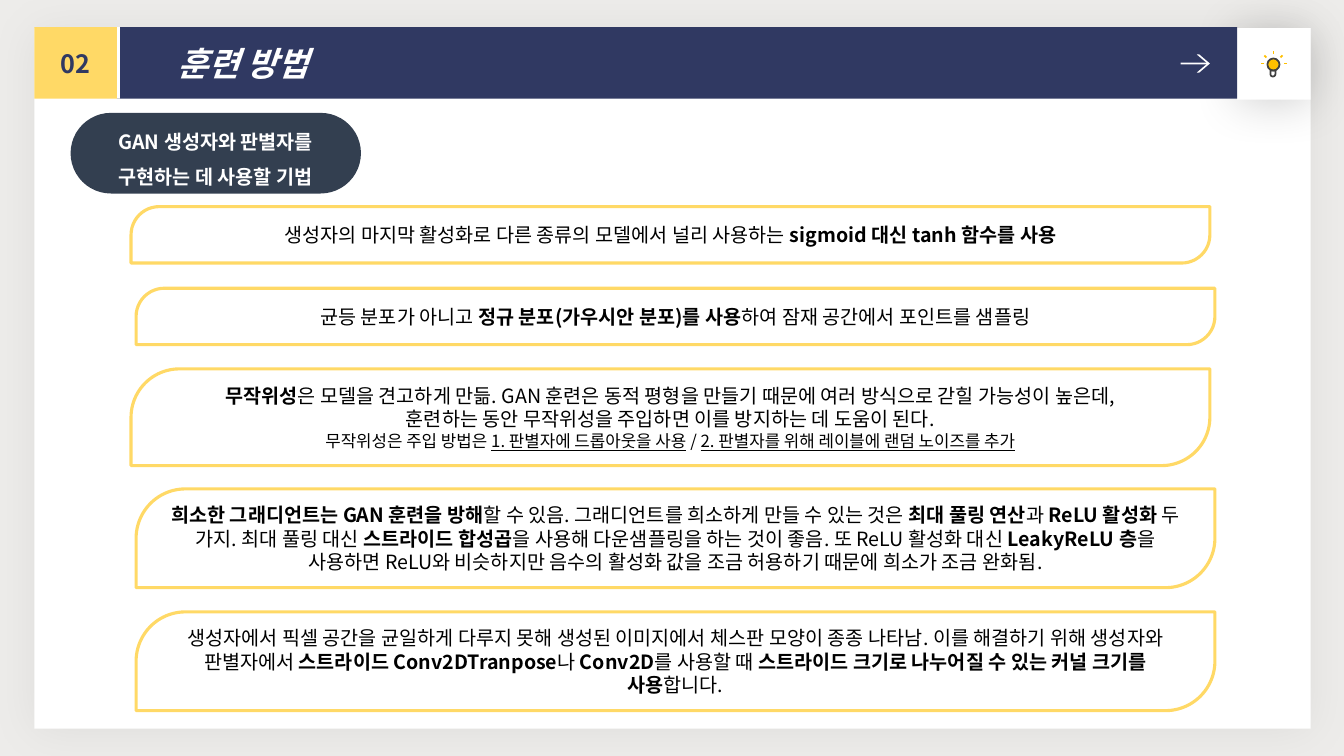
"""Build the slide on GAN training techniques."""
import dataclasses

import lxml.etree
import pptx
import pptx.dml.color
import pptx.enum.shapes
import pptx.enum.text
import pptx.oxml.ns
import pptx.util

Inches = pptx.util.Inches
Pt = pptx.util.Pt
qn = pptx.oxml.ns.qn
SHAPE = pptx.enum.shapes.MSO_SHAPE
ALIGN = pptx.enum.text.PP_ALIGN


@dataclasses.dataclass(frozen=True)
class Theme:
    font: str = "Noto Sans CJK KR"
    backdrop: str = "EDECEA"
    white: str = "FFFFFF"
    black: str = "000000"
    navy: str = "303962"
    slate: str = "333F50"
    yellow: str = "FFD966"
    amber: str = "FFC000"
    bulb: str = "404040"
    title: int = 24
    number: int = 18
    body: int = 14
    detail: int = 12


T = Theme()

CARDS = [
    (1.3, 2.05, 0.56, ["생성자의 마지막 활성화로 다른 종류의 모델에서 널리 사용하는 *sigmoid 대신 tanh 함수를 사용*"]),
    (1.35, 2.86, 0.56, ["균등 분포가 아니고 *정규 분포(가우시안 분포)를 사용*하여 잠재 공간에서 포인트를 샘플링"]),
    (1.3, 3.66, 0.96, [
        "*무작위성*은 모델을 견고하게 만듦. GAN 훈련은 동적 평형을 만들기 때문에 여러 방식으로 갇힐 가능성이 높은데,",
        "훈련하는 동안 무작위성을 주입하면 이를 방지하는 데 도움이 된다."]),
    (1.35, 4.85, 0.98, [
        "*희소한 그래디언트는 GAN 훈련을 방해*할 수 있음. 그래디언트를 희소하게 만들 수 있는 것은 "
        "*최대 풀링 연산*과 *ReLU 활성화* 두 가지. 최대 풀링 대신 *스트라이드 합성곱*을 사용해 "
        "다운샘플링을 하는 것이 좋음. 또 ReLU 활성화 대신 *LeakyReLU 층*을 사용하면 ReLU와 "
        "비슷하지만 음수의 활성화 값을 조금 허용하기 때문에 희소가 조금 완화됨."]),
    (1.35, 6.07, 0.98, [
        "생성자에서 픽셀 공간을 균일하게 다루지 못해 생성된 이미지에서 체스판 모양이 종종 나타남. "
        "이를 해결하기 위해 생성자와 판별자에서 *스트라이드 Conv2DTranpose*나 *Conv2D*를 사용할 때 "
        "*스트라이드 크기로 나누어질 수 있는 커널 크기를 사용*합니다."]),
]
NOISE_METHODS = "무작위성은 주입 방법은 *1. 판별자에 드롭아웃을 사용* / *2. 판별자를 위해 레이블에 랜덤 노이즈를 추가*"

RAYS = [
    (12.63, 0.51, 12.63, 0.54),
    (12.76, 0.63, 12.73, 0.63),
    (12.54, 0.63, 12.51, 0.63),
    (12.56, 0.57, 12.54, 0.55),
    (12.7, 0.57, 12.72, 0.55),
]


def rgb(color):
    """Turn a hex string into a colour."""
    return pptx.dml.color.RGBColor.from_string(color)


def add_text(tf, text, size=T.body, color=T.black, bold=False, italic=False,
             align=ALIGN.CENTER, spacing=None, mark="bold"):
    """Add a paragraph whose starred parts are bold or underlined."""
    p = tf.add_paragraph() if tf.text else tf.paragraphs[0]
    p.alignment = align
    if spacing:
        p.line_spacing = spacing
    for i, part in enumerate(text.split("*")):
        if not part:
            continue
        r = p.add_run()
        r.text = part
        font = r.font
        font.size, font.name = Pt(size), T.font
        font.bold, font.italic = bold, italic
        font.color.rgb = rgb(color)
        if i % 2:
            setattr(font, mark, True)
        ea = lxml.etree.SubElement(r._r.get_or_add_rPr(), qn("a:ea"))
        ea.set("typeface", T.font)
    return p


def place(sp, x, y, w, h):
    """Move and size a shape."""
    sp.left, sp.top, sp.width, sp.height = map(Inches, (x, y, w, h))


def add_shape(s, kind, x, y, w, h, fill=None, line=None, weight=1.25, adj=()):
    """Add a flat preset shape with centred, wrapped text."""
    sp = s.shapes.add_shape(kind, *map(Inches, (x, y, w, h)))
    sp.shadow.inherit = False
    for i, value in enumerate(adj):
        sp.adjustments[i] = value
    if fill:
        sp.fill.solid()
        sp.fill.fore_color.rgb = rgb(fill)
    else:
        sp.fill.background()
    if line:
        sp.line.color.rgb = rgb(line)
        sp.line.width = Pt(weight)
    else:
        sp.line.fill.background()
    sp.text_frame.word_wrap = True
    sp.text_frame.vertical_anchor = pptx.enum.text.MSO_ANCHOR.MIDDLE
    return sp


def add_shadow(sp, color, alpha, blur, angle):
    """Give a shape an outer shadow two points away."""
    effects = sp.element.spPr.find(qn("a:effectLst"))
    shadow = lxml.etree.SubElement(effects, qn("a:outerShdw"))
    shadow.set("blurRad", str(Pt(blur)))
    shadow.set("dist", str(Pt(2)))
    shadow.set("dir", str(angle * 60000))
    shadow.set("algn", "ctr")
    shadow.set("rotWithShape", "0")
    clr = lxml.etree.SubElement(shadow, qn("a:srgbClr"), val=color)
    lxml.etree.SubElement(clr, qn("a:alpha"), val=str(alpha * 1000))


def add_line(s, x1, y1, x2, y2):
    """Add one ray of the light bulb."""
    ray = s.shapes.add_connector(pptx.enum.shapes.MSO_CONNECTOR.STRAIGHT,
                                 *map(Inches, (x1, y1, x2, y2)))
    ray.line.color.rgb = rgb(T.amber)
    ray.line.width = Pt(1.25)
    lxml.etree.SubElement(ray.element.spPr, qn("a:effectLst"))


def add_title(s, text):
    """Turn the title placeholder into the navy bar."""
    title = s.shapes.title
    title.element.getparent().append(title.element)
    place(title, 1.16, 0.27, 11.11, 0.71)
    title.fill.solid()
    title.fill.fore_color.rgb = rgb(T.navy)
    tf = title.text_frame
    tf.auto_size = pptx.enum.text.MSO_AUTO_SIZE.NONE
    tf.vertical_anchor = pptx.enum.text.MSO_ANCHOR.MIDDLE
    p = add_text(tf, text, size=T.title, color=T.white, bold=True, italic=True, align=ALIGN.LEFT)
    p._p.get_or_add_pPr().set("marL", str(Inches(0.5)))


def add_bulb(s):
    """Draw the light bulb."""
    add_shape(s, SHAPE.OVAL, 12.57, 0.58, 0.12, 0.12, fill=T.amber, line=T.bulb)
    add_shape(s, SHAPE.ROUND_2_SAME_RECTANGLE, 12.6, 0.7, 0.05, 0.06, line=T.bulb, adj=(0, 0.5))
    for ray in RAYS:
        add_line(s, *ray)


def add_header(s):
    """Draw the panel, title bar, number tag and icons."""
    panel = add_shape(s, SHAPE.RECTANGLE, 0.34, 0.28, 12.66, 6.95, fill=T.white)
    add_shadow(panel, T.black, 5, 34, 90)
    corner = add_shape(s, SHAPE.RECTANGLE, 12.27, 0.28, 0.73, 0.71, fill=T.white)
    add_shadow(corner, T.black, 18, 34, 90)
    add_title(s, "훈련 방법")
    add_bulb(s)
    tag = add_shape(s, SHAPE.RECTANGLE, 0.34, 0.27, 0.82, 0.71, fill=T.yellow)
    add_shadow(tag, T.white, 100, 0, 0)
    add_text(tag.text_frame, "02", size=T.number, color=T.navy, bold=True)
    add_shape(s, SHAPE.CHEVRON, 11.87, 0.54, 0.13, 0.18, fill=T.white, adj=(0.807,))
    add_shape(s, SHAPE.RECTANGLE, 11.71, 0.62, 0.28, 0.02, fill=T.white)


def add_topic(s, lines):
    """Add the dark pill that names the topic."""
    pill = add_shape(s, SHAPE.ROUNDED_RECTANGLE, 0.7, 1.12, 2.88, 0.8, fill=T.slate, adj=(0.5,))
    tf = pill.text_frame
    tf.margin_top = tf.margin_bottom = 0
    for text in lines:
        add_text(tf, text, color=T.white, bold=True, spacing=1.5)


def add_card(s, x, y, h, lines):
    """Add one outlined technique card and return its text frame."""
    card = add_shape(s, SHAPE.ROUND_2_DIAG_RECTANGLE, x, y, 10.7, h,
                     line=T.yellow, weight=2.25, adj=(0.5, 0))
    for text in lines:
        add_text(card.text_frame, text)
    return card.text_frame


def main():
    """Build and save the slide."""
    prs = pptx.Presentation()
    prs.slide_width, prs.slide_height = Inches(13.33), Inches(7.5)
    s = prs.slides.add_slide(prs.slide_layouts.get_by_name("Title Only"))
    s.background.fill.solid()
    s.background.fill.fore_color.rgb = rgb(T.backdrop)
    add_header(s)
    add_topic(s, ["GAN 생성자와 판별자를", "구현하는 데 사용할 기법"])
    frames = [add_card(s, *card) for card in CARDS]
    add_text(frames[2], NOISE_METHODS, size=T.detail, mark="underline")
    prs.save("out.pptx")


if __name__ == "__main__":
    main()
